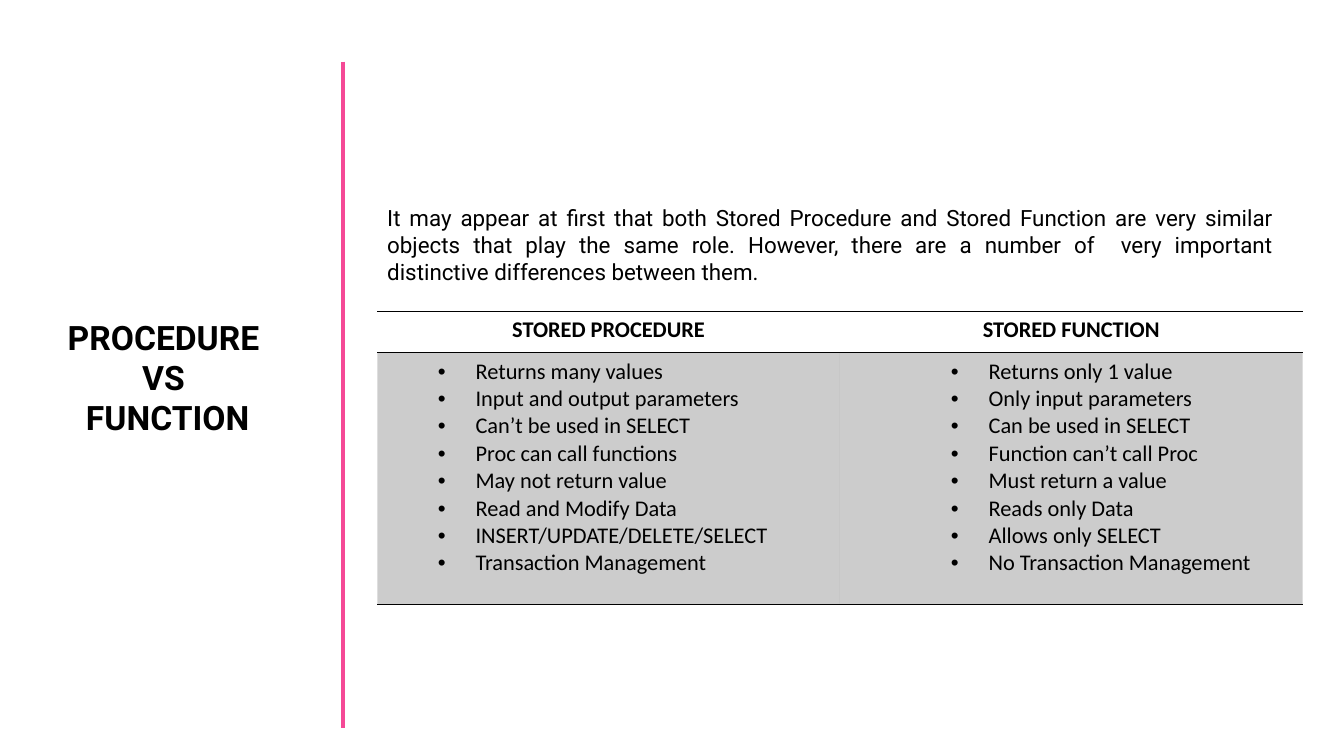
from lxml.etree import SubElement
from pptx import Presentation
from pptx.dml.color import RGBColor
from pptx.enum.shapes import MSO_CONNECTOR
from pptx.enum.text import MSO_ANCHOR, MSO_AUTO_SIZE, PP_ALIGN
from pptx.oxml import parse_xml
from pptx.oxml.ns import nsdecls, qn
from pptx.util import Pt

BLACK = RGBColor(0x00, 0x00, 0x00)
WHITE = RGBColor(0xFF, 0xFF, 0xFF)
PINK = RGBColor(0xF5, 0x49, 0x96)
PLAIN_TABLE_STYLE = "{2D5ABB26-0587-4C30-8999-92F81FD0307C}"

HEADING = "PROCEDURE \nVS \nFUNCTION"
INTRO = (
    "It may appear at first that both Stored Procedure and Stored Function are "
    "very similar objects that play the same role. However, there are a number "
    "of  very important distinctive differences between them."
)
COMPARISON = {
    "STORED PROCEDURE": [
        "Returns many values",
        "Input and output parameters",
        "Can’t be used in SELECT",
        "Proc can call functions",
        "May not return value",
        "Read and Modify Data",
        "INSERT/UPDATE/DELETE/SELECT",
        "Transaction Management",
    ],
    "STORED FUNCTION": [
        "Returns only 1 value",
        "Only input parameters",
        "Can be used in SELECT",
        "Function can’t call Proc",
        "Must return a value",
        "Reads only Data",
        "Allows only SELECT",
        "No Transaction Management",
    ],
}


def format_text(text_frame, font_name, size, bold, alignment):
    for paragraph in text_frame.paragraphs:
        paragraph.alignment = alignment
        for run in paragraph.runs:
            run.font.name = font_name
            run.font.size = Pt(size)
            run.font.bold = bold
            run.font.color.rgb = BLACK


def add_heading(slide, left, top, width, height):
    heading = slide.shapes.title
    heading.left, heading.top = Pt(left), Pt(top)
    heading.width, heading.height = Pt(width), Pt(height)
    frame = heading.text_frame
    frame.text = HEADING
    frame.word_wrap = True
    frame.auto_size = MSO_AUTO_SIZE.NONE
    frame.vertical_anchor = MSO_ANCHOR.TOP
    format_text(frame, "Roboto", 24, True, PP_ALIGN.CENTER)


def add_divider(slide, x, top, height):
    divider = slide.shapes.add_connector(
        MSO_CONNECTOR.STRAIGHT, Pt(x), Pt(top), Pt(x), Pt(top + height)
    )
    divider.line.color.rgb = PINK
    divider.line.width = Pt(3)
    SubElement(divider._element.spPr, qn("a:effectLst"))


def add_intro(slide, left, top, width, height):
    intro = slide.shapes.add_textbox(Pt(left), Pt(top), Pt(width), Pt(height))
    frame = intro.text_frame
    frame.text = INTRO
    frame.word_wrap = True
    format_text(frame, "Roboto", 16, False, PP_ALIGN.JUSTIFY)


def add_rules(cell, sides):
    properties = cell._tc.get_or_add_tcPr()
    for position, side in enumerate(sides):
        rule = parse_xml(
            f'<a:{side} {nsdecls("a")} w="{Pt(1)}"><a:solidFill>'
            f'<a:srgbClr val="{BLACK}"/></a:solidFill></a:{side}>'
        )
        properties.insert(position, rule)


def shade(cell, percent):
    cell.fill.solid()
    cell.fill.fore_color.rgb = BLACK
    shade_color = cell._tc.tcPr.find(".//" + qn("a:srgbClr"))
    SubElement(shade_color, qn("a:alpha"), val=str(percent * 1000))


def add_bullets(text_frame, level):
    for paragraph in text_frame.paragraphs:
        paragraph.level = level
        properties = paragraph._p.get_or_add_pPr()
        properties.set("marL", str(Pt(27 + 36 * level)))
        properties.set("indent", str(Pt(-27)))
        SubElement(properties, qn("a:buFont"), typeface="Arial")
        SubElement(properties, qn("a:buChar"), char="•")


def add_comparison(slide, left, top, width, height):
    header_height = 29.5
    comparison = slide.shapes.add_table(
        2, len(COMPARISON), Pt(left), Pt(top), Pt(width), Pt(height)
    ).table
    comparison.first_row = False
    comparison.horz_banding = False
    comparison._tbl.tblPr.find(qn("a:tableStyleId")).text = PLAIN_TABLE_STYLE
    comparison.rows[0].height = Pt(header_height)
    comparison.rows[1].height = Pt(height - header_height)

    for column, (routine, traits) in enumerate(COMPARISON.items()):
        header = comparison.cell(0, column)
        header.text_frame.text = routine
        format_text(header.text_frame, "Calibri", 16, True, PP_ALIGN.CENTER)
        header.fill.background()
        add_rules(header, ["lnT", "lnB"])

        details = comparison.cell(1, column)
        details.text_frame.text = "\n".join(traits)
        format_text(details.text_frame, "Calibri", 16, False, PP_ALIGN.LEFT)
        add_bullets(details.text_frame, column + 1)
        shade(details, 20)
        add_rules(details, ["lnT", "lnB"])


def build_comparison_slide(presentation):
    slide = presentation.slides.add_slide(presentation.slide_layouts[5])
    slide.background.fill.solid()
    slide.background.fill.fore_color.rgb = WHITE
    add_divider(slide, 245, 44, 476)
    add_heading(slide, 18.5, 222.5, 202.5, 94.5)
    add_comparison(slide, 269.5, 222.5, 661, 209.5)
    add_intro(slide, 269.5, 142.5, 647, 65.5)


def main():
    presentation = Presentation()
    presentation.slide_width = Pt(960)
    presentation.slide_height = Pt(540)
    build_comparison_slide(presentation)
    presentation.save("out.pptx")


if __name__ == "__main__":
    main()
